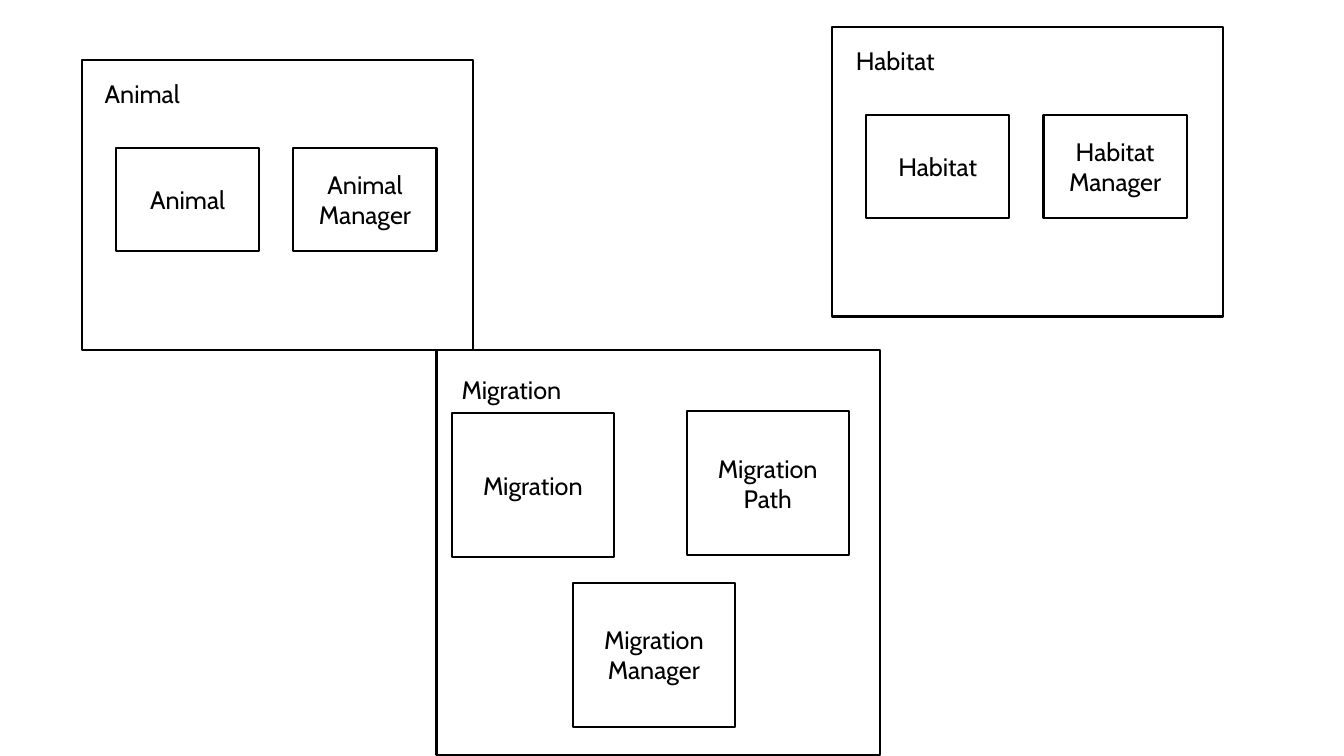
from pptx import Presentation
from pptx.dml.color import RGBColor
from pptx.enum import shapes, text
from pptx.util import Inches, Pt

BLACK = RGBColor(0, 0, 0)
FONT = {"name": "Cabin", "size": Pt(18)}

prs = Presentation()
prs.slide_width, prs.slide_height = Inches(13.33), Inches(7.5)
s = prs.slides.add_slide(prs.slide_layouts[6])


def write(sp, words, align):
    p = sp.text_frame.paragraphs[0]
    p.alignment = align
    r = p.add_run()
    r.text = words
    for key, value in FONT.items():
        setattr(r.font, key, value)
    r.font.color.rgb = BLACK


def add_box(grp, left, top, width, height, words=""):
    sp = grp.shapes.add_shape(shapes.MSO_SHAPE.RECTANGLE, Inches(left),
                              Inches(top), Inches(width), Inches(height))
    sp.shadow.inherit = False
    sp.fill.background()
    sp.line.color.rgb = BLACK
    sp.line.width = Pt(1.5)
    if words:
        sp.text_frame.word_wrap = True
        sp.text_frame.vertical_anchor = text.MSO_ANCHOR.MIDDLE
        write(sp, words, text.PP_ALIGN.CENTER)


# Each package: name, frame, label offset and width, class size,
# and classes with their offsets from the frame corner
PAIR = [(0.34, 0.87), (2.1, 0.87)]
TRIO = [(0.15, 0.63), (2.48, 0.61), (1.35, 2.31)]
packages = [
    ("Animal", (0.81, 0.6, 3.88, 2.87), (0.13, 0.13, 0.96), (1.42, 1.02),
     zip(PAIR, ["Animal", "Animal Manager"])),
    ("Migration", (4.33, 3.47, 4.4, 4.02), (0.15, 0.19, 1.21), (1.61, 1.43),
     zip(TRIO, ["Migration", "Migration Path", "Migration Manager"])),
    ("Habitat", (8.25, 0.27, 3.88, 2.87), (0.14, 0.13, 1.01), (1.42, 1.02),
     zip(PAIR, ["Habitat", "Habitat Manager"])),
]

for name, frame, (dx, dy, label_width), size, classes in packages:
    left, top = frame[:2]
    grp = s.shapes.add_group_shape()

    # Package frame
    add_box(grp, *frame)

    # Package label
    label = grp.shapes.add_textbox(Inches(left + dx), Inches(top + dy),
                                   Inches(label_width), Inches(0.4))
    label.text_frame.word_wrap = False
    label.text_frame.auto_size = text.MSO_AUTO_SIZE.SHAPE_TO_FIT_TEXT
    write(label, name, text.PP_ALIGN.LEFT)

    # Classes inside the package
    for (x, y), class_name in classes:
        add_box(grp, left + x, top + y, *size, class_name)

prs.save("out.pptx")
